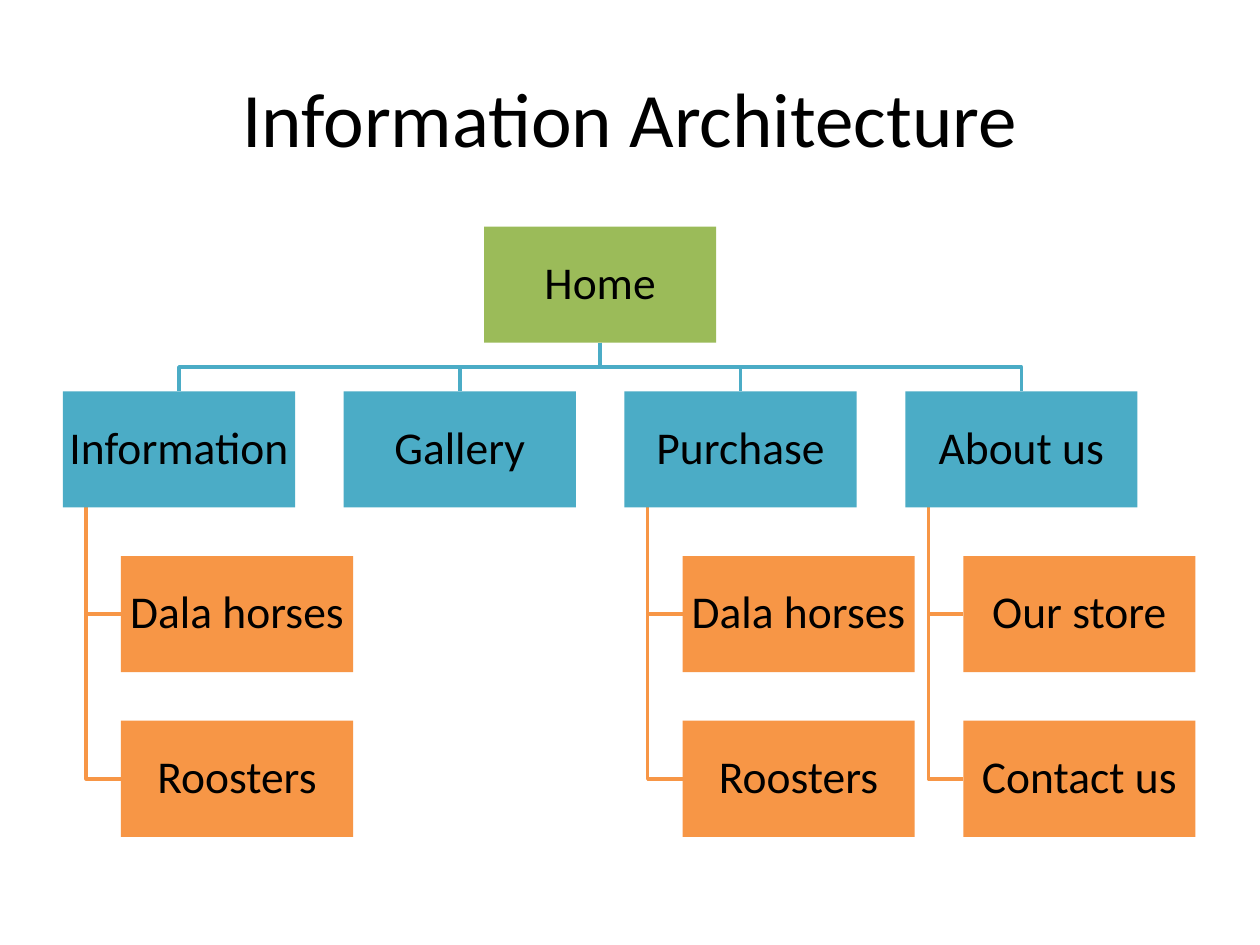
from dataclasses import dataclass

from pptx import Presentation
from pptx.dml.color import RGBColor
from pptx.enum.shapes import MSO_SHAPE
from pptx.enum.text import MSO_ANCHOR, PP_ALIGN
from pptx.util import Cm, Pt

RECTANGLE = MSO_SHAPE.RECTANGLE
MIDDLE = MSO_ANCHOR.MIDDLE
CENTER = PP_ALIGN.CENTER

COLOURS = {"text": "000000", "home": "9BBB59", "section": "4BACC6", "page": "F79646"}

# Lengths in centimetres
BOX_WIDTH, BOX_HEIGHT, GAP = 4.68, 2.34, 0.98
COLUMN_PITCH, ROW_PITCH = BOX_WIDTH + GAP, BOX_HEIGHT + GAP
CHART_LEFT, CHART_TOP = 1.27, 4.57
PAGE_INDENT = BOX_WIDTH / 4
TRUNK_INDENT = BOX_WIDTH / 10

SITE_MAP = {
    "Information": ["Dala horses", "Roosters"],
    "Gallery": [],
    "Purchase": ["Dala horses", "Roosters"],
    "About us": ["Our store", "Contact us"],
}


@dataclass
class Box:
    label: str
    left: float
    row: int
    colour: str

    @property
    def top(self) -> float:
        return CHART_TOP + self.row * ROW_PITCH

    @property
    def bottom(self) -> float:
        return self.top + BOX_HEIGHT

    @property
    def center(self) -> float:
        return self.left + BOX_WIDTH / 2

    @property
    def middle(self) -> float:
        return self.top + BOX_HEIGHT / 2


def write_text(shape, text: str, size: int, line_spacing: float = 1.0) -> None:
    frame = shape.text_frame
    frame.word_wrap = True
    frame.vertical_anchor = MIDDLE
    paragraph = frame.paragraphs[0]
    paragraph.alignment = CENTER
    paragraph.line_spacing = line_spacing
    run = paragraph.add_run()
    run.text = text
    for name, value in {"name": "Calibri", "size": Pt(size)}.items():
        setattr(run.font, name, value)
    run.font.color.rgb = RGBColor.from_string(COLOURS["text"])


def draw_box(slide, box: Box) -> None:
    shape = slide.shapes.add_shape(
        RECTANGLE, Cm(box.left), Cm(box.top), Cm(BOX_WIDTH), Cm(BOX_HEIGHT)
    )
    shape.shadow.inherit = False
    shape.fill.solid()
    shape.fill.fore_color.rgb = RGBColor.from_string(COLOURS[box.colour])
    shape.line.fill.background()
    for side in ("left", "top", "right", "bottom"):
        setattr(shape.text_frame, f"margin_{side}", Cm(0.05))
    write_text(shape, box.label, 26, 0.9)


def draw_branch(slide, points: list[tuple[float, float]], colour: str) -> None:
    """Draw an open, unfilled line through points given in centimetres."""
    start, *rest = [(Cm(x), Cm(y)) for x, y in points]
    builder = slide.shapes.build_freeform(*start)
    builder.add_line_segments(rest, close=False)
    shape = builder.convert_to_shape()
    shape.shadow.inherit = False
    shape.fill.background()
    shape.line.color.rgb = RGBColor.from_string(COLOURS[colour])
    shape.line.width = Pt(2)


def draw_section_branch(slide, home: Box, section: Box) -> None:
    bend = home.bottom + GAP / 2
    points = [
        (home.center, home.bottom),
        (home.center, bend),
        (section.center, bend),
        (section.center, section.top),
    ]
    draw_branch(slide, points, section.colour)


def draw_page_branch(slide, section: Box, page: Box) -> None:
    trunk = section.left + TRUNK_INDENT
    points = [(trunk, section.bottom), (trunk, page.middle), (page.left, page.middle)]
    draw_branch(slide, points, page.colour)


def draw_site_map(slide) -> None:
    home_left = CHART_LEFT + (len(SITE_MAP) - 1) * COLUMN_PITCH / 2
    home = Box("Home", home_left, 0, "home")
    boxes = [home]
    for column, (label, page_labels) in enumerate(SITE_MAP.items()):
        section = Box(label, CHART_LEFT + column * COLUMN_PITCH, 1, "section")
        boxes.append(section)
        draw_section_branch(slide, home, section)
        for row, page_label in enumerate(page_labels, start=2):
            page = Box(page_label, section.left + PAGE_INDENT, row, "page")
            boxes.append(page)
            draw_page_branch(slide, section, page)
    for box in boxes:
        draw_box(slide, box)


def main() -> None:
    presentation = Presentation()
    presentation.slide_width, presentation.slide_height = Cm(25.4), Cm(19.05)
    slide = presentation.slides.add_slide(presentation.slide_layouts[6])
    title = slide.shapes.add_textbox(Cm(1.27), Cm(0.76), Cm(22.86), Cm(3.18))
    write_text(title, "Information Architecture", 44)
    draw_site_map(slide)
    presentation.save("out.pptx")


if __name__ == "__main__":
    main()
